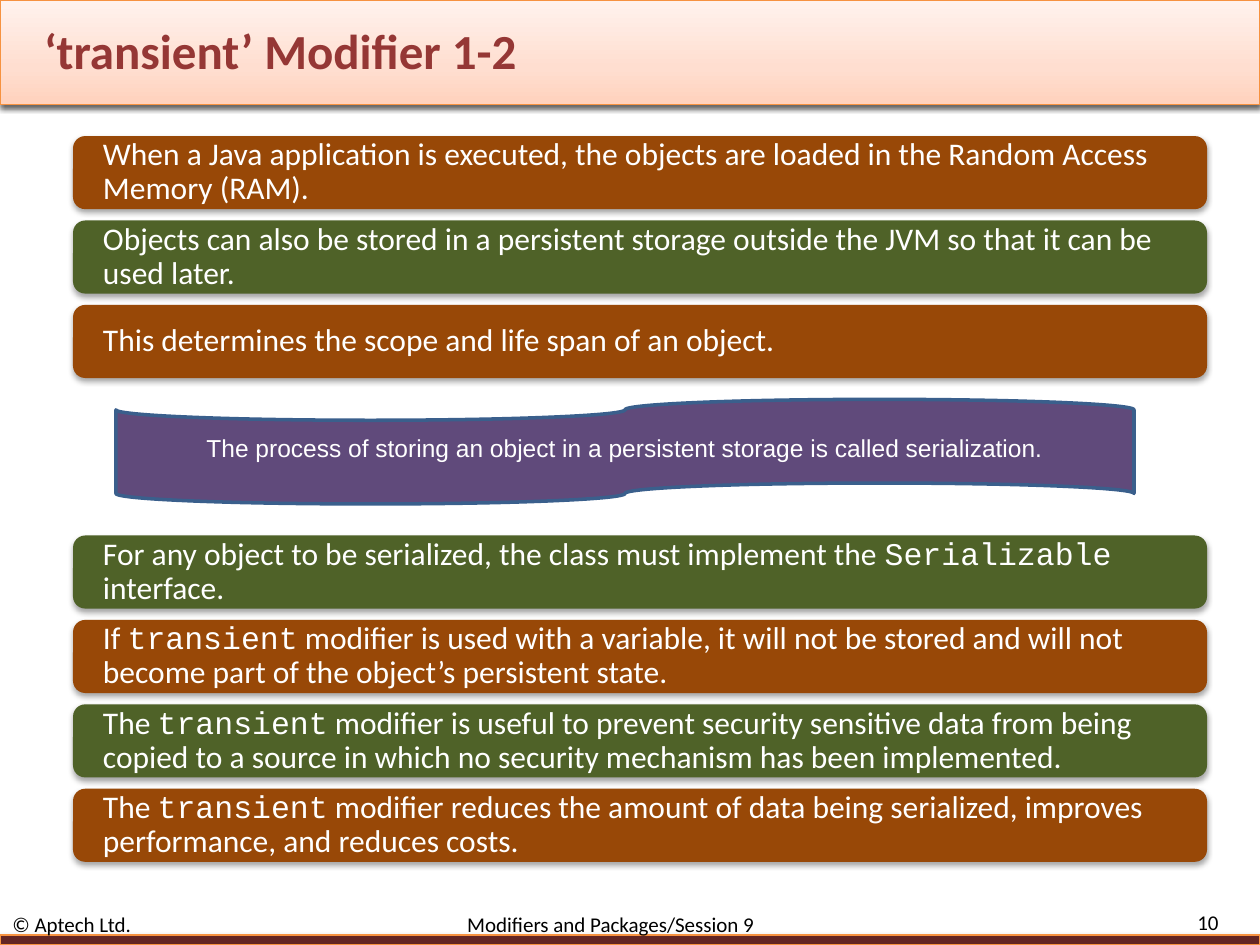
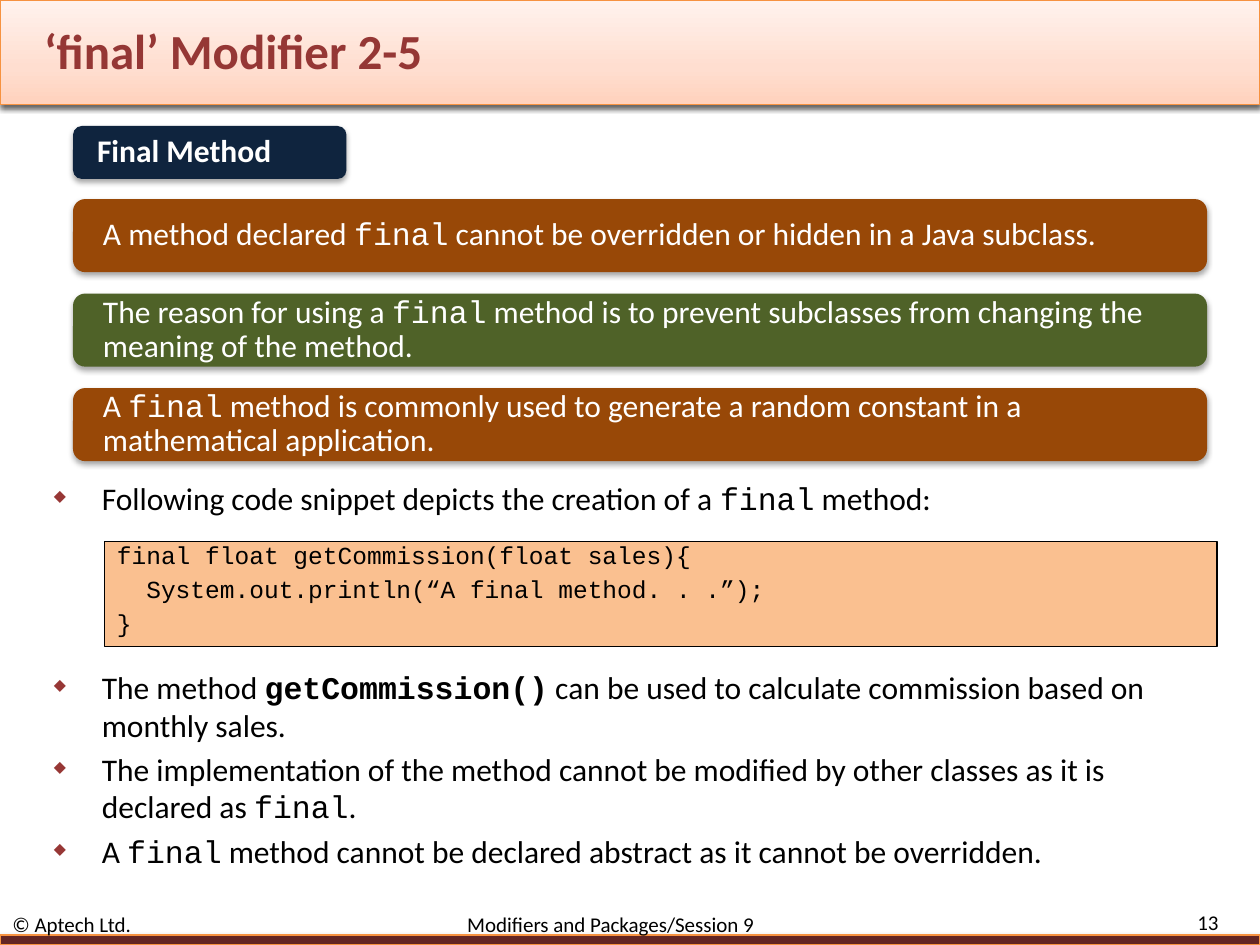
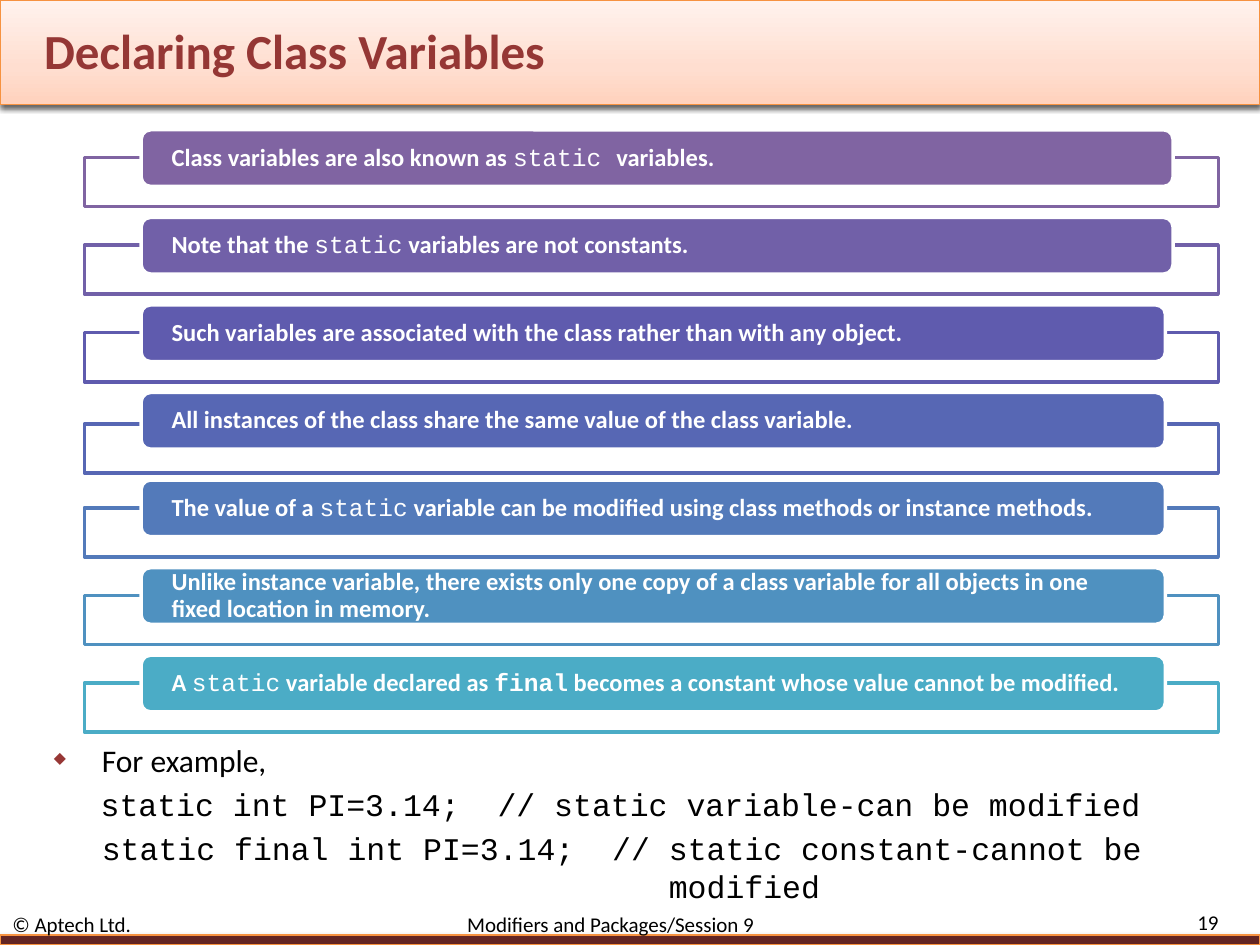
from copy import deepcopy
from dataclasses import dataclass
from itertools import cycle
from typing import NamedTuple, Sequence, Union

from lxml import etree
from pptx import Presentation
from pptx.dml.color import RGBColor
from pptx.enum.shapes import MSO_SHAPE
from pptx.enum.text import MSO_ANCHOR, MSO_AUTO_SIZE, PP_ALIGN
from pptx.oxml.ns import qn
from pptx.shapes.autoshape import Shape
from pptx.slide import Slide
from pptx.text.text import TextFrame, _Paragraph
from pptx.util import Inches, Pt

RECTANGLE = MSO_SHAPE.RECTANGLE
ROUNDED = MSO_SHAPE.ROUNDED_RECTANGLE
TAPE = MSO_SHAPE.FLOWCHART_PUNCHED_TAPE
MIDDLE = MSO_ANCHOR.MIDDLE
TOP = MSO_ANCHOR.TOP
LEFT, CENTER, RIGHT = PP_ALIGN.LEFT, PP_ALIGN.CENTER, PP_ALIGN.RIGHT
NO_AUTOFIT = MSO_AUTO_SIZE.NONE

WHITE = RGBColor(0xFF, 0xFF, 0xFF)
BLACK = RGBColor(0x00, 0x00, 0x00)
TITLE_RED = RGBColor(0x95, 0x37, 0x35)
BAND_ORANGE = RGBColor(0xF6, 0x92, 0x40)
FOOTER_MAROON = RGBColor(0x63, 0x25, 0x23)
BROWN = RGBColor(0x98, 0x48, 0x07)
GREEN = RGBColor(0x4F, 0x62, 0x28)
NAVY = RGBColor(0x0F, 0x24, 0x3E)
PURPLE = RGBColor(0x60, 0x4A, 0x7B)
TAPE_BLUE = RGBColor(0x3A, 0x5F, 0x8C)
CODE_PEACH = RGBColor(0xFA, 0xC0, 0x90)
BAND_STOPS = (
    (0, RGBColor(0xFF, 0xD2, 0xBD)),
    (0.35, RGBColor(0xFF, 0xDE, 0xD0)),
    (1, RGBColor(0xFF, 0xF2, 0xED)),
)
BULLET_HEX = "973735"

BODY_FONT = "Calibri"
CODE_FONT = "Courier New"
TAPE_FONT = "Arial"

SLIDE_WIDTH, SLIDE_HEIGHT = 10, 7.5
CARD_LEFT, CARD_WIDTH, CARD_HEIGHT = 0.58, 9, 0.58
BODY_LEFT, BODY_WIDTH = 0.33, 9.42
BODY_HANG = 0.38


class Code(NamedTuple):
    text: str
    bold: bool = False


Content = Sequence[Union[str, Code]]


@dataclass(frozen=True)
class Ribbon:
    content: Content
    color: RGBColor
    width: float = 8.13
    frame_drop: float = 0.22


def add_box(slide: Slide, kind: int, left: float, top: float, width: float,
            height: float, fill: RGBColor, line: RGBColor | None = None,
            line_width: float = 0.75) -> Shape:
    box = slide.shapes.add_shape(kind, Inches(left), Inches(top),
                                 Inches(width), Inches(height))
    box.shadow.inherit = False
    box.fill.solid()
    box.fill.fore_color.rgb = fill
    if line is None:
        box.line.fill.background()
    else:
        box.line.color.rgb = line
        box.line.width = Pt(line_width)
    return box


def add_drop_shadow(box: Shape, opacity: int) -> None:
    effects = box.element.spPr.find(qn("a:effectLst"))
    shadow = etree.SubElement(effects, qn("a:outerShdw"), blurRad="40000",
                              dist="23000", dir="5400000", rotWithShape="0")
    color = etree.SubElement(shadow, qn("a:srgbClr"), val="000000")
    etree.SubElement(color, qn("a:alpha"), val=str(opacity * 1000))


def set_frame(frame: TextFrame, anchor: MSO_ANCHOR = MIDDLE, side: float = 0.1,
              end: float = 0.0) -> None:
    """Set wrapping, anchor and the margins at the sides and at top and bottom."""
    frame.word_wrap = True
    frame.auto_size = NO_AUTOFIT
    frame.vertical_anchor = anchor
    frame.margin_left = frame.margin_right = Inches(side)
    frame.margin_top = frame.margin_bottom = Inches(end)


def add_text_area(slide: Slide, left: float, top: float, width: float,
                  height: float, anchor: MSO_ANCHOR, end: float) -> TextFrame:
    area = slide.shapes.add_textbox(Inches(left), Inches(top),
                                    Inches(width), Inches(height))
    set_frame(area.text_frame, anchor, end=end)
    return area.text_frame


def write(paragraph: _Paragraph, content: Content, size: float, color: RGBColor,
          font: str = BODY_FONT, bold: bool = False,
          align: PP_ALIGN = LEFT, spacing: float | None = None) -> None:
    """Fill a paragraph; code pieces take the code font and their own weight."""
    paragraph.alignment = align
    if spacing:
        paragraph.line_spacing = spacing
    paragraph.font.name = font
    paragraph.font.size = Pt(size)
    paragraph.font.bold = bold
    paragraph.font.color.rgb = color
    for piece in content:
        run = paragraph.add_run()
        if isinstance(piece, Code):
            run.text = piece.text
            run.font.name = CODE_FONT
            run.font.bold = piece.bold
        else:
            run.text = piece


def set_indent(paragraph: _Paragraph, left: float, hang: float) -> None:
    properties = paragraph._p.get_or_add_pPr()
    properties.set("marL", str(Inches(left)))
    properties.set("indent", str(-Inches(hang)))


def add_bullet(paragraph: _Paragraph) -> None:
    set_indent(paragraph, BODY_HANG, BODY_HANG)
    properties = paragraph._p.get_or_add_pPr()
    color = etree.SubElement(properties, qn("a:buClr"))
    etree.SubElement(color, qn("a:srgbClr"), val=BULLET_HEX)
    etree.SubElement(properties, qn("a:buSzPct"), val="50000")
    etree.SubElement(properties, qn("a:buChar"), char="◆")


def next_paragraph(frame: TextFrame, gap: float) -> _Paragraph:
    """Return the empty first paragraph, or a new one set off by the gap."""
    if not frame.paragraphs[0].runs:
        return frame.paragraphs[0]
    paragraph = frame.add_paragraph()
    paragraph.space_before = Pt(gap)
    return paragraph


def add_bullets(slide: Slide, top: float, height: float,
                items: Sequence[Content]) -> TextFrame:
    frame = add_text_area(slide, BODY_LEFT, top, BODY_WIDTH, height, TOP, 0.05)
    for item in items:
        paragraph = next_paragraph(frame, 3.6)
        add_bullet(paragraph)
        write(paragraph, item, 18, BLACK)
    return frame


def add_card(slide: Slide, top: float, fill: RGBColor, content: Content,
             width: float = CARD_WIDTH, height: float = CARD_HEIGHT,
             side: float = 0.21, bold: bool = False) -> None:
    card = add_box(slide, ROUNDED, CARD_LEFT, top, width, height, fill)
    add_drop_shadow(card, 35)
    set_frame(card.text_frame, side=side)
    write(card.text_frame.paragraphs[0], content, 18, WHITE, bold=bold, spacing=0.9)


def add_cards(slide: Slide, top: float, pitch: float, fills: Sequence[RGBColor],
              contents: Sequence[Content]) -> None:
    for row, (content, fill) in enumerate(zip(contents, cycle(fills))):
        add_card(slide, top + row * pitch, fill, content)


def add_ribbon(slide: Slide, top: float, ribbon: Ribbon) -> None:
    add_box(slide, RECTANGLE, 0.67, top + ribbon.frame_drop, 9, 0.39,
            WHITE, ribbon.color, 2)
    bar = add_box(slide, ROUNDED, 1.12, top, ribbon.width, 0.45,
                  ribbon.color, WHITE, 2)
    set_frame(bar.text_frame, side=0.22)
    write(bar.text_frame.paragraphs[0], ribbon.content, 14, WHITE,
          bold=True, spacing=0.9)


def add_title_band(slide: Slide) -> None:
    band = add_box(slide, RECTANGLE, 0, 0, SLIDE_WIDTH, 0.83, WHITE, BAND_ORANGE)
    band.fill.gradient()
    band.fill.gradient_angle = 90
    stops = band.element.spPr.find(".//" + qn("a:gsLst"))
    stops.append(deepcopy(stops[0]))
    for stop, (position, color) in zip(band.fill.gradient_stops, BAND_STOPS):
        stop.position = position
        stop.color.rgb = color
    add_drop_shadow(band, 60)
    slide.shapes.element.insert(2, band.element)  # behind the title


def add_footer(slide: Slide, number: int) -> None:
    bar = add_box(slide, RECTANGLE, 0, 7.42, SLIDE_WIDTH, 0.08,
                  FOOTER_MAROON, BAND_ORANGE)
    add_drop_shadow(bar, 35)
    footer = add_text_area(slide, 0, 7.25, 8.83, 0.17, MIDDLE, 0).paragraphs[0]
    tabs = etree.SubElement(footer._p.get_or_add_pPr(), qn("a:tabLst"))
    etree.SubElement(tabs, qn("a:tab"), pos=str(Inches(3.61)), algn="l")
    write(footer, ["© Aptech Ltd.\tModifiers and Packages/Session 9"], 12, BLACK)
    page = add_text_area(slide, 8.92, 7.23, 0.85, 0.18, MIDDLE, 0).paragraphs[0]
    write(page, [str(number)], 12, BLACK, align=RIGHT)


def add_lesson_slide(prs: Presentation, heading: str, number: int) -> Slide:
    slide = prs.slides.add_slide(prs.slide_layouts.get_by_name("Title Only"))
    title = slide.shapes.title
    title.left, title.top = Inches(0.25), Inches(0.17)
    title.width, title.height = Inches(8.33), Inches(0.45)
    set_frame(title.text_frame)
    write(title.text_frame.paragraphs[0], [heading], 28, TITLE_RED, bold=True)
    add_title_band(slide)
    add_footer(slide, number)
    return slide


def build_transient(prs: Presentation) -> None:
    slide = add_lesson_slide(prs, "‘transient’ Modifier 1-2", 10)
    add_cards(slide, 1.08, 0.67, (BROWN, GREEN), [
        ["When a Java application is executed, the objects are loaded in the "
         "Random Access Memory (RAM)."],
        ["Objects can also be stored in a persistent storage outside the JVM "
         "so that it can be used later."],
        ["This determines the scope and life span of an object."],
    ])
    tape = add_box(slide, TAPE, 0.92, 3.17, 8.08, 0.83, PURPLE, TAPE_BLUE, 2)
    set_frame(tape.text_frame)
    write(tape.text_frame.paragraphs[0],
          ["The process of storing an object in a persistent storage is called "
           "serialization."],
          14, WHITE, TAPE_FONT, align=CENTER, spacing=0.7)
    add_cards(slide, 4.25, 0.67, (GREEN, BROWN), [
        ["For any object to be serialized, the class must implement the ",
         Code("Serializable"), " interface."],
        ["If ", Code("transient"), " modifier is used with a variable, it will not "
         "be stored and will not become part of the object’s persistent state."],
        ["The ", Code("transient"), " modifier is useful to prevent security "
         "sensitive data from being copied to a source in which no security "
         "mechanism has been implemented."],
        ["The ", Code("transient"), " modifier reduces the amount of data being "
         "serialized, improves performance, and reduces costs."],
    ])


def build_final(prs: Presentation) -> None:
    slide = add_lesson_slide(prs, "‘final’ Modifier 2-5", 13)
    add_card(slide, 1, NAVY, ["Final Method"], 2.17, 0.42, 0.17, bold=True)
    add_cards(slide, 1.58, 0.75, (BROWN, GREEN), [
        ["A method declared ", Code("final"),
         " cannot be overridden or hidden in a Java subclass."],
        ["The reason for using a ", Code("final"), " method is to prevent "
         "subclasses from changing the meaning of the method."],
        ["A ", Code("final"), " method is commonly used to generate a random "
         "constant in a mathematical application."],
    ])
    add_bullets(slide, 3.75, 0.42, [
        ["Following code snippet depicts the creation of a ", Code("final"),
         " method:"],
    ])
    snippet = add_box(slide, RECTANGLE, 0.83, 4.3, 8.83, 0.83, CODE_PEACH, BLACK)
    set_frame(snippet.text_frame, TOP, end=0.05)
    for line in ("final float getCommission(float sales){",
                 "  System.out.println(“A final method. . .”);",
                 "}"):
        write(next_paragraph(snippet.text_frame, 7.8), [line], 14, BLACK,
              CODE_FONT, spacing=0.7)
    add_bullets(slide, 5.25, 2.08, [
        ["The method ", Code("getCommission()", bold=True),
         " can be used to calculate commission based on monthly sales."],
        ["The implementation of the method cannot be modified by other classes "
         "as it is declared as ", Code("final"), "."],
        ["A ", Code("final"),
         " method cannot be declared abstract as it cannot be overridden."],
    ])


def build_class_variables(prs: Presentation) -> None:
    slide = add_lesson_slide(prs, "Declaring Class Variables", 19)
    ribbons = [
        Ribbon(["Class variables are also known as ", Code("static "), "variables."],
               RGBColor(0x80, 0x64, 0xA2), width=8.19),
        Ribbon(["Note that the ", Code("static"), " variables are not constants."],
               RGBColor(0x71, 0x60, 0xA8), width=8.19),
        Ribbon(["Such variables are associated with the class rather than with "
                "any object."], RGBColor(0x5F, 0x5B, 0xAE)),
        Ribbon(["All instances of the class share the same value of the class "
                "variable."], RGBColor(0x57, 0x67, 0xB4), frame_drop=0.25),
        Ribbon(["The value of a ", Code("static"), " variable can be modified using "
                "class methods or instance methods."], RGBColor(0x53, 0x7A, 0xBA)),
        Ribbon(["Unlike instance variable, there exists only one copy of a class "
                "variable for all objects in one fixed location in memory."],
               RGBColor(0x4F, 0x91, 0xC0)),
        Ribbon(["A ", Code("static"), " variable declared as ",
                Code("final", bold=True),
                " becomes a constant whose value cannot be modified."],
               RGBColor(0x4B, 0xAC, 0xC6)),
    ]
    first_top, last_top = 1.03, 5.2
    pitch = (last_top - first_top) / (len(ribbons) - 1)
    for row, ribbon in enumerate(ribbons):
        add_ribbon(slide, first_top + row * pitch, ribbon)

    example = add_bullets(slide, 5.83, 1.17, [["For example,"]])
    for declaration, left, hang in (
        ("static int PI=3.14;  // static variable-can be modified", 0.75, 0.38),
        ("static final int PI=3.14;  // static constant-cannot be modified", 4.88, 4.5),
    ):
        paragraph = next_paragraph(example, 3.6)
        set_indent(paragraph, left, hang)
        write(paragraph, [declaration], 18, BLACK, CODE_FONT)


def main() -> None:
    prs = Presentation()
    prs.slide_width, prs.slide_height = Inches(SLIDE_WIDTH), Inches(SLIDE_HEIGHT)
    build_transient(prs)
    build_final(prs)
    build_class_variables(prs)
    prs.save("out.pptx")


if __name__ == "__main__":
    main()
